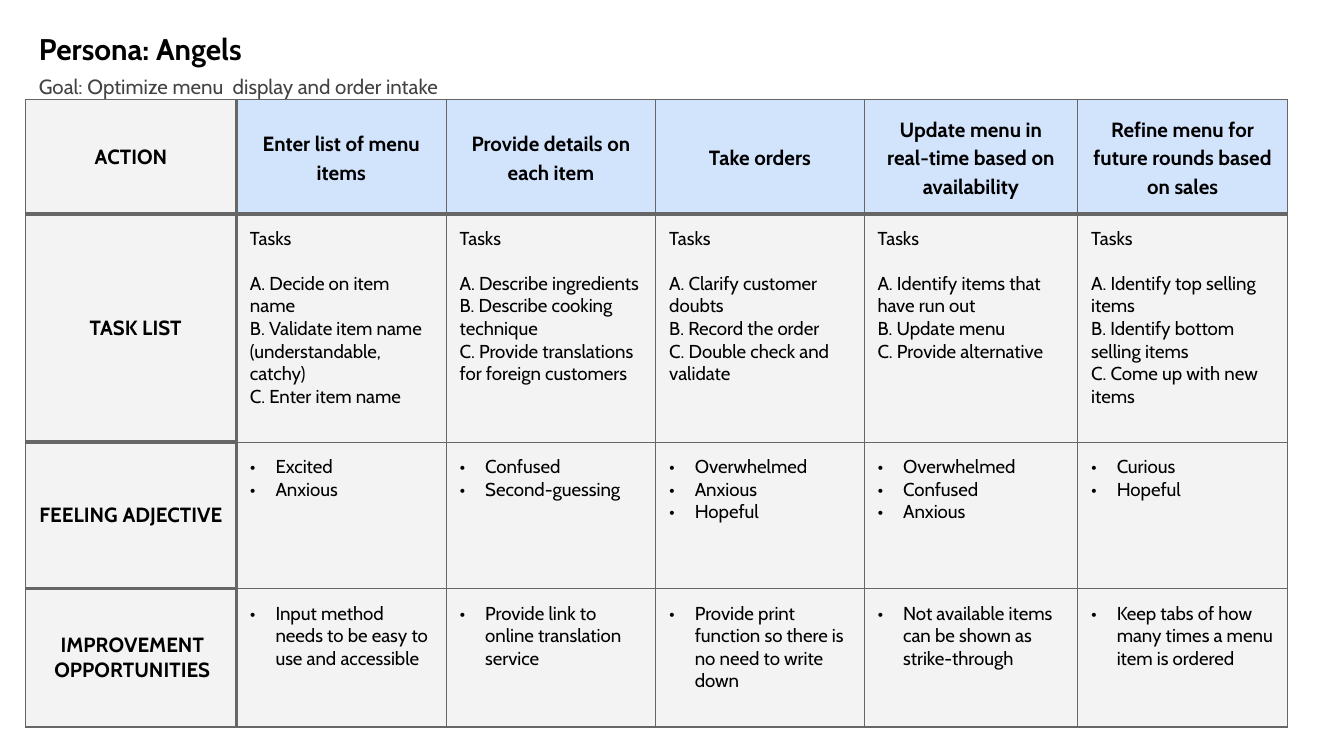
from dataclasses import dataclass

from pptx import Presentation
from pptx import util as u
from pptx.dml.color import RGBColor
from pptx.enum import text
from pptx.oxml import parse_xml
from pptx.oxml.ns import nsdecls


@dataclass(frozen=True)
class Theme:
    font: str = "Cabin"
    ink: str = "000000"
    soft: str = "434343"
    rule: str = "666666"
    pale: str = "F3F3F3"
    blue: str = "D2E3FC"
    title: int = 16
    head: int = 11
    body: int = 10
    thin: float = 0.75
    thick: float = 2.25
    pad: float = 0.1


WIDTHS = [1.57, 1.56, 1.56, 1.55, 1.59, 1.56]
HEIGHTS = [0.85, 1.7, 1.09, 1.03]
LABELS = ["ACTION", "TASK LIST", "FEELING ADJECTIVE",
          "IMPROVEMENT OPPORTUNITIES"]

# Each step: action, tasks, feelings, improvement
STEPS = [
    ("Enter list of menu items",
     ["Decide on item name",
      "Validate item name (understandable, catchy)",
      "Enter item name"],
     ["Excited", "Anxious"],
     "Input method needs to be easy to use and accessible"),
    ("Provide details on each item",
     ["Describe ingredients", "Describe cooking technique",
      "Provide translations for foreign customers"],
     ["Confused", "Second-guessing"],
     "Provide link to online translation service"),
    ("Take orders",
     ["Clarify customer doubts", "Record the order",
      "Double check and validate"],
     ["Overwhelmed", "Anxious", "Hopeful"],
     "Provide print function so there is no need to write down"),
    ("Update menu in real-time based on availability",
     ["Identify items that have run out", "Update menu",
      "Provide alternative"],
     ["Overwhelmed", "Confused", "Anxious"],
     "Not available items can be shown as strike-through"),
    ("Refine menu for future rounds based on sales",
     ["Identify top selling items", "Identify bottom selling items",
      "Come up with new items"],
     ["Curious", "Hopeful"],
     "Keep tabs of how many times a menu item is ordered"),
]


class Board:
    def __init__(self, slide, theme):
        self.slide = slide
        self.theme = theme

    def run(self, para, words, size, color, bold=False):
        run = para.add_run()
        run.text = words
        font = run.font
        font.name, font.size, font.bold = self.theme.font, u.Pt(size), bold
        font.color.rgb = RGBColor.from_string(color)

    def pad(self, box):
        """Set equal margins on a text frame or a table cell."""
        for side in ("left", "top", "right", "bottom"):
            setattr(box, "margin_" + side, u.Inches(self.theme.pad))

    def line(self, shape, spot, words, size, color, bold=False):
        """Place a shape and fill it with one left-aligned line."""
        shape.left, shape.top, shape.width, shape.height = map(u.Inches, spot)
        frame = shape.text_frame
        self.pad(frame)
        frame.word_wrap = True
        frame.auto_size = text.MSO_AUTO_SIZE.NONE
        frame.vertical_anchor = text.MSO_ANCHOR.TOP
        para = frame.paragraphs[0]
        para.alignment = text.PP_ALIGN.LEFT
        self.run(para, words, size, color, bold)
        return para

    def title(self, words, spot):
        t = self.theme
        self.line(self.slide.shapes.title, spot, words, t.title, t.ink, True)

    def note(self, words, spot):
        t = self.theme
        box = self.slide.shapes.add_textbox(0, 0, 0, 0)
        self.line(box, spot, words, t.head, t.soft).space_after = u.Pt(3)

    def grid(self, left, top, widths, heights):
        frame = self.slide.shapes.add_table(
            len(heights), len(widths), u.Inches(left), u.Inches(top),
            u.Inches(sum(widths)), u.Inches(sum(heights)))
        table = frame.table
        table.first_row = table.horz_banding = False
        for col, width in zip(table.columns, widths):
            col.width = u.Inches(width)
        for row, height in zip(table.rows, heights):
            row.height = u.Inches(height)
        for r in range(len(heights)):
            for c in range(len(widths)):
                self.dress(table.cell(r, c), r, c, len(heights) - 1)
        return table

    def dress(self, cell, r, c, last):
        """Give a cell its borders, fill and margins."""
        t = self.theme
        heavy = {"L": c == 1, "R": c == 0,
                 "T": r == 1 or (c == 0 and r > 0),
                 "B": r == 0 or (c == 0 and r < last)}
        props = cell._tc.get_or_add_tcPr()
        for side, bold in heavy.items():
            width = u.Pt(t.thick if bold else t.thin)
            props.append(parse_xml(
                f'<a:ln{side} {nsdecls("a")} w="{width}"><a:solidFill>'
                f'<a:srgbClr val="{t.rule}"/></a:solidFill></a:ln{side}>'))
        cell.fill.solid()
        color = t.blue if r == 0 and c > 0 else t.pale
        cell.fill.fore_color.rgb = RGBColor.from_string(color)
        self.pad(cell)

    def head(self, cell, words, space=None):
        cell.vertical_anchor = text.MSO_ANCHOR.MIDDLE
        para = cell.text_frame.paragraphs[0]
        para.alignment = text.PP_ALIGN.CENTER
        para.line_spacing = space
        self.run(para, words, self.theme.head, self.theme.ink, True)
        return para

    def items(self, cell, lines, dots=False):
        frame = cell.text_frame
        for i, words in enumerate(lines):
            para = frame.add_paragraph() if i else frame.paragraphs[0]
            if dots:
                self.indent(para, 0.19, -0.19)
                self.bullet(para)
            self.run(para, words, self.theme.body, self.theme.ink)
        return frame.paragraphs

    def indent(self, para, left, first):
        props = para._p.get_or_add_pPr()
        props.set("marL", str(u.Inches(left)))
        props.set("indent", str(u.Inches(first)))

    def bullet(self, para):
        t = self.theme
        props = para._p.get_or_add_pPr()
        for body in (f'<a:buClr {nsdecls("a")}><a:srgbClr '
                     f'val="{t.ink}"/></a:buClr>',
                     f'<a:buFont {nsdecls("a")} typeface="{t.font}"/>',
                     f'<a:buChar {nsdecls("a")} char="•"/>'):
            props.append(parse_xml(body))


def main():
    deck = Presentation()
    deck.slide_width = u.Inches(10)
    deck.slide_height = deck.slide_width * 9 // 16
    board = Board(deck.slides.add_slide(deck.slide_layouts[5]), Theme())

    board.title("Persona: Angels", (0.19, 0.13, 1.95, 0.44))
    board.note("Goal: Optimize menu  display and order intake",
               (0.19, 0.45, 9.28, 0.3))

    table = board.grid(0.19, 0.74, WIDTHS, HEIGHTS)
    labels = [board.head(table.cell(r, 0), words)
              for r, words in enumerate(LABELS)]
    board.indent(labels[1], 0.19, -0.12)
    table.cell(3, 0).margin_left = u.Inches(0.12)

    for c, (action, tasks, moods, idea) in enumerate(STEPS, 1):
        board.head(table.cell(0, c), action, 1.15)
        listed = [f"{mark}. {task}" for mark, task in zip("ABC", tasks)]
        paras = board.items(table.cell(1, c), ["Tasks"] + listed)
        paras[0].space_after = u.Pt(12)
        board.items(table.cell(2, c), moods, dots=True)
        board.items(table.cell(3, c), [idea], dots=True)

    deck.save("out.pptx")


if __name__ == "__main__":
    main()
